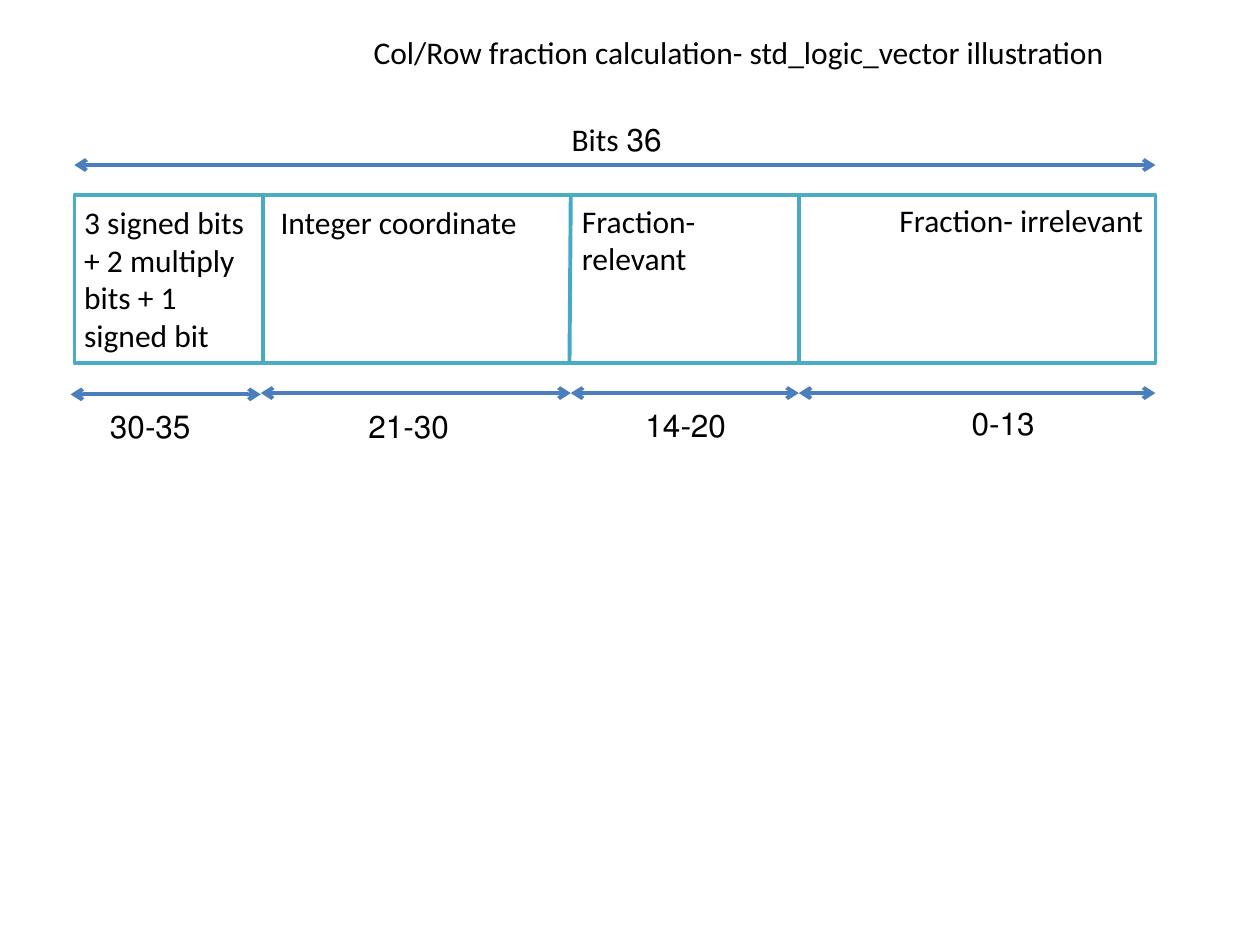
from lxml import etree
from pptx import Presentation
from pptx.dml.color import RGBColor
from pptx.enum.shapes import MSO_CONNECTOR, MSO_SHAPE
from pptx.enum.text import MSO_ANCHOR, PP_ALIGN
from pptx.oxml.ns import qn
from pptx.util import Inches, Pt

STRAIGHT = MSO_CONNECTOR.STRAIGHT
RECTANGLE = MSO_SHAPE.RECTANGLE
TOP = MSO_ANCHOR.TOP
LEFT, RIGHT = PP_ALIGN.LEFT, PP_ALIGN.RIGHT

THEME = {
    "font": {"name": "Calibri", "size": Pt(18)},
    "text": RGBColor(0x00, 0x00, 0x00),
    "fill": RGBColor(0xFF, 0xFF, 0xFF),
    "border": RGBColor(0x4B, 0xAC, 0xC6),
    "divider": RGBColor(0x46, 0xAA, 0xC5),
    "arrow": RGBColor(0x4B, 0x7E, 0xBC),
    "border_width": Pt(2),
    "line_width": Pt(2.25),
}

# Boxes are left, top, width, height in inches.
TITLE = ("Col/Row fraction calculation- std_logic_vector illustration",
         (1.85, 0.21, 7.01, 0.4))
VECTOR = (0.59, 1.55, 8.58, 1.33)
# Top and bottom x of each divider
DIVIDERS = [(2.09, 2.09), (4.53, 4.52), (6.34, 6.34)]
TOTAL_ARROW_Y = 1.31
# Left end, right end and y of the arrow under each field
RANGE_ARROWS = [(0.56, 2.07, 3.13), (2.07, 4.53, 3.12),
                (4.53, 6.34, 3.12), (6.34, 9.17, 3.12)]
# Right-to-left labels sit at the right edge of their box
RTL_LABELS = [
    ("36 Bits", (4.25, 0.9, 1.1, 0.4)),
    ("30-35", (0.59, 3.18, 1.02, 0.4)),
    ("21-30", (2.64, 3.18, 1.02, 0.4)),
    ("14-20", (4.84, 3.17, 1.02, 0.4)),
    ("0-13", (7.6, 3.16, 0.71, 0.4)),
    ("Integer coordinate", (2.07, 1.56, 2.13, 0.4)),
    ("Fraction- irrelevant", (6.34, 1.55, 2.83, 0.4)),
]
LTR_LABELS = [
    ("3 signed bits + 2 multiply bits + 1 signed bit", (0.57, 1.56, 1.5, 1.31)),
    ("Fraction- relevant", (4.52, 1.55, 1.66, 0.71)),
]


def inches(values):
    return [Inches(v) for v in values]


def write(sp, text, rtl):
    tf = sp.text_frame
    tf.word_wrap = True
    tf.vertical_anchor = TOP
    p = tf.paragraphs[0]
    p.alignment = RIGHT if rtl else LEFT
    if rtl:
        p._p.get_or_add_pPr().set("rtl", "1")
    r = p.add_run()
    r.text = text
    for key, value in THEME["font"].items():
        setattr(r.font, key, value)
    r.font.color.rgb = THEME["text"]


def add_line(slide, ends, color, arrows=False):
    line = slide.shapes.add_connector(STRAIGHT, *inches(ends))
    line.line.color.rgb = color
    line.line.width = THEME["line_width"]
    if arrows:
        ln = line.line._get_or_add_ln()
        for tag in ("a:headEnd", "a:tailEnd"):
            etree.SubElement(ln, qn(tag), type="arrow")
    etree.SubElement(line._element.spPr, qn("a:effectLst"))


def add_vector(slide):
    sp = slide.shapes.add_shape(RECTANGLE, *inches(VECTOR))
    sp.shadow.inherit = False
    sp.fill.solid()
    sp.fill.fore_color.rgb = THEME["fill"]
    sp.line.color.rgb = THEME["border"]
    sp.line.width = THEME["border_width"]


def main():
    prs = Presentation()
    prs.slide_width, prs.slide_height = Inches(10), Inches(7.5)
    slide = prs.slides.add_slide(prs.slide_layouts[5])

    text, box = TITLE
    title = slide.shapes.title
    title.left, title.top, title.width, title.height = inches(box)
    write(title, text, rtl=True)

    add_vector(slide)
    left, top, width, height = VECTOR
    for x_top, x_bottom in DIVIDERS:
        add_line(slide, (x_top, top, x_bottom, top + height), THEME["divider"])
    total = (left, left + width, TOTAL_ARROW_Y)
    for start, end, y in [total, *RANGE_ARROWS]:
        add_line(slide, (start, y, end, y), THEME["arrow"], arrows=True)

    for labels, rtl in ((RTL_LABELS, True), (LTR_LABELS, False)):
        for text, box in labels:
            write(slide.shapes.add_textbox(*inches(box)), text, rtl)

    prs.save("out.pptx")


if __name__ == "__main__":
    main()
